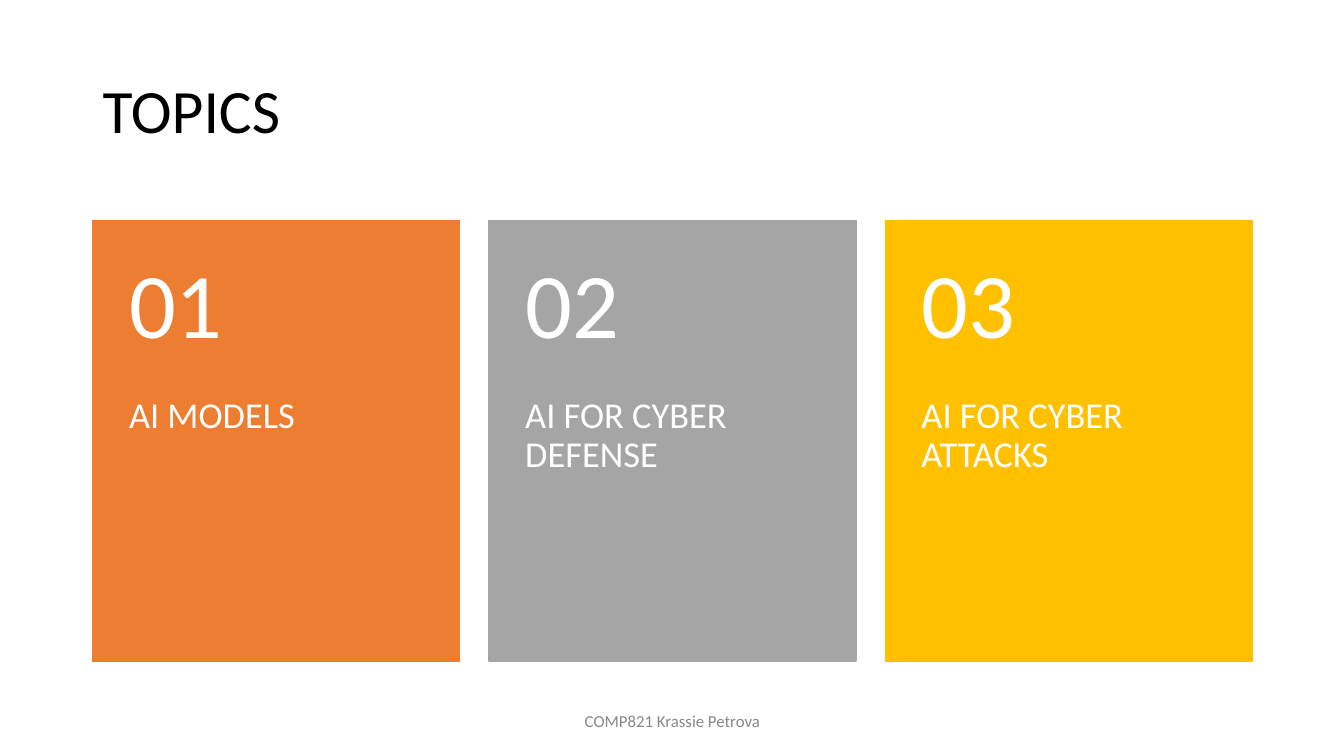
from pptx import Presentation
from pptx.dml.color import RGBColor
from pptx.enum import shapes, text
from pptx.util import Inches, Pt

FONT = "Calibri"
BLACK = RGBColor(0x00, 0x00, 0x00)
WHITE = RGBColor(0xFF, 0xFF, 0xFF)
FOOTER_GREY = RGBColor(0x88, 0x88, 0x88)
ORANGE = RGBColor(0xED, 0x7D, 0x31)
GREY = RGBColor(0xA5, 0xA5, 0xA5)
GOLD = RGBColor(0xFF, 0xC0, 0x00)

TOPICS = [
    ("AI MODELS", ORANGE),
    ("AI FOR CYBER DEFENSE", GREY),
    ("AI FOR CYBER ATTACKS", GOLD),
]
MIDDLE = text.MSO_ANCHOR.MIDDLE


def add_text(page, area, words, size, color, insets=(0.1, 0.05, 0.1, 0.05),
             anchor=MIDDLE, align=text.PP_ALIGN.LEFT, line_spacing=0.9):
    box = page.shapes.add_textbox(*map(Inches, area))
    frame = box.text_frame
    frame.word_wrap = True
    frame.vertical_anchor = anchor
    frame.margin_left, frame.margin_top, frame.margin_right, frame.margin_bottom = map(Inches, insets)
    frame.text = words
    para = frame.paragraphs[0]
    para.alignment = align
    para.line_spacing = line_spacing
    span = para.runs[0]
    span.font.name = FONT
    span.font.size = Pt(size)
    span.font.color.rgb = color


def add_card(page, area, number, topic, color):
    left, top, width, height = area
    number_height = height * 0.4

    # Coloured panel
    panel = page.shapes.add_shape(shapes.MSO_SHAPE.RECTANGLE, *map(Inches, area))
    panel.shadow.inherit = False
    panel.fill.solid()
    panel.fill.fore_color.rgb = color
    panel.line.color.rgb = color
    panel.line.width = Pt(1)

    # Topic below, number above
    add_text(page, (left, top + number_height, width, height - number_height), topic, 26, WHITE,
             insets=(0.36, 0, 0.36, 0.36), anchor=text.MSO_ANCHOR.TOP)
    add_text(page, (left, top, width, number_height), f"{number:02}", 66, WHITE,
             insets=(0.36, 0.18, 0.36, 0.18))


def add_cards(page, area, gap):
    left, top, width, height = area
    card_width = (width - gap * (len(TOPICS) - 1)) / len(TOPICS)
    for index, (topic, color) in enumerate(TOPICS):
        card_left = left + index * (card_width + gap)
        add_card(page, (card_left, top, card_width, height), index + 1, topic, color)


def main():
    deck = Presentation()
    deck.slide_width = Inches(13.33)
    deck.slide_height = Inches(7.5)
    page = deck.slides.add_slide(deck.slide_layouts[6])

    # Title
    add_text(page, (0.92, 0.4, 11.5, 1.45), "TOPICS", 44, BLACK)

    # Topic cards
    add_cards(page, (0.92, 2.19, 11.5, 4.37), gap=0.29)

    # Footer
    add_text(page, (4.42, 6.95, 4.5, 0.4), "COMP821 Krassie Petrova", 12, FOOTER_GREY,
             align=text.PP_ALIGN.CENTER, line_spacing=1.0)

    deck.save("out.pptx")


if __name__ == "__main__":
    main()
